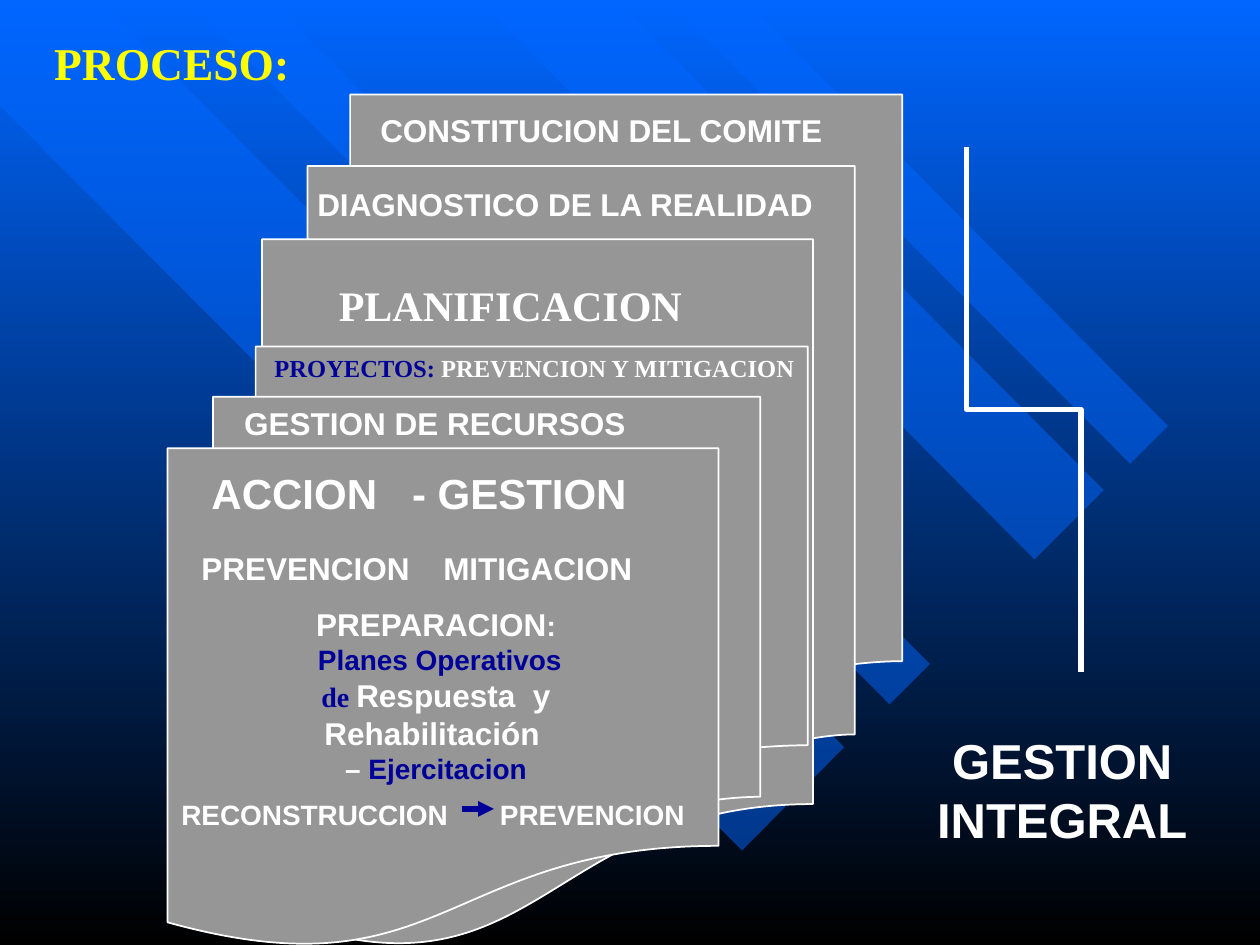
"""Build the PROCESO slide: stacked documents leading to GESTION INTEGRAL."""
from lxml import etree
from pptx import Presentation
from pptx import util as u
from pptx.dml.color import RGBColor
from pptx.enum import shapes, text
from pptx.oxml import ns

BLUE = RGBColor(0x00, 0x66, 0xFF)
BLACK = RGBColor(0x00, 0x00, 0x00)
GRAY = RGBColor(0x96, 0x96, 0x96)
WHITE = RGBColor(0xFF, 0xFF, 0xFF)
NAVY = RGBColor(0x00, 0x00, 0x99)
YELLOW = RGBColor(0xFF, 0xFF, 0x00)
SANS, SERIF = "Arial", "Times New Roman"
LEFT, CENTER = text.PP_ALIGN.LEFT, text.PP_ALIGN.CENTER

RIBBONS = [
    [(6.7, 5.93), (0.79, 0), (0, 0), (0, 0.84), (5.89, 6.75)],
    [(2.14, 0), (7.38, 5.27), (7.06, 5.59), (1.49, 0)],
    [(4.89, 0), (8.76, 3.89), (8.21, 4.44), (3.8, 0)],
    [(5.3, 0), (8.97, 3.68), (9.27, 3.38), (5.91, 0)],
]
STACKS = [(2.08, 0.75, 5.08, 6.75), (1.33, 2.75, 5.08, 4.75)]
WRAPPED_LABELS = [
    ("CONSTITUCION DEL COMITE", 18, (2.92, 0.83, 3.84, 0.4)),
    ("DIAGNOSTICO DE LA REALIDAD", 18, (2.42, 1.42, 5.14, 0.4)),
]
LABELS = [
    ("GESTION DE RECURSOS", 18, (1.84, 3.16, 3.23, 0.4)),
    ("ACCION   - GESTION", 24, (1.58, 3.66, 3.49, 0.5)),
    ("PREVENCION", 18, (1.5, 4.31, 1.85, 0.4)),
    ("MITIGACION", 18, (3.42, 4.31, 1.7, 0.4)),
    ("RECONSTRUCCION", 16, (1.34, 6.28, 2.32, 0.37)),
    ("PREVENCION", 16, (3.87, 6.28, 1.67, 0.37)),
]
PREPARATION = [
    [("PREPARACION", 18, WHITE, SANS), (":", 16, WHITE, SANS)],
    [(" ", 16, WHITE, SANS), ("Planes Operativos", 16, NAVY, SANS)],
    [("de ", 16, NAVY, SERIF), ("Respuesta  y Rehabilitación", 18, WHITE, SANS),
     (" ", 16, WHITE, SANS)],
    [("– ", 16, WHITE, SANS), ("Ejercitacion", 16, NAVY, SANS)],
]


class SlideBuilder:
    """Hold the shared style and the slide being drawn."""

    def __init__(self, slide):
        self.slide = slide
        self.outline = u.Pt(1)
        self.stroke = u.Pt(3)

    def background(self):
        fill = self.slide.background.fill
        fill.gradient()
        fill.gradient_angle = 270
        for stop, color, position in zip(fill.gradient_stops, (BLUE, BLACK), (0, 1)):
            stop.color.rgb = color
            stop.position = position

    def ribbon(self, points):
        corners = [(u.Inches(x), u.Inches(y)) for x, y in points]
        builder = self.slide.shapes.build_freeform(*corners[0])
        builder.add_line_segments(corners[1:], close=True)
        shape = builder.convert_to_shape()
        shape.shadow.inherit = False
        shape.fill.solid()
        shape.fill.fore_color.rgb = BLUE
        shape.line.fill.background()
        color = shape.element.spPr.find(".//" + ns.qn("a:srgbClr"))
        etree.SubElement(color, ns.qn("a:alpha"), val="50000")

    def documents(self, box):
        shape = self.slide.shapes.add_shape(
            shapes.MSO_SHAPE.FLOWCHART_MULTIDOCUMENT, *map(u.Inches, box))
        shape.shadow.inherit = False
        shape.fill.solid()
        shape.fill.fore_color.rgb = GRAY
        shape.line.color.rgb = WHITE
        shape.line.width = self.outline

    def add_text(self, frame, paragraphs, align, wrap):
        frame.word_wrap = wrap
        frame.auto_size = text.MSO_AUTO_SIZE.NONE
        frame.vertical_anchor = text.MSO_ANCHOR.TOP
        for index, runs in enumerate(paragraphs):
            paragraph = frame.add_paragraph() if index else frame.paragraphs[0]
            paragraph.alignment = align
            for words, size, color, font in runs:
                run = paragraph.add_run()
                run.text = words
                run.font.size = u.Pt(size)
                run.font.bold = True
                run.font.name = font
                run.font.color.rgb = color

    def title(self, run, box):
        shape = self.slide.shapes.title
        shape.left, shape.top, shape.width, shape.height = map(u.Inches, box)
        self.add_text(shape.text_frame, [[run]], LEFT, False)
        shape.element.getparent().append(shape.element)

    def label(self, paragraphs, box, align=LEFT, wrap=False):
        shape = self.slide.shapes.add_textbox(*map(u.Inches, box))
        self.add_text(shape.text_frame, paragraphs, align, wrap)

    def connector(self, kind, start, end, color):
        line = self.slide.shapes.add_connector(kind, *map(u.Inches, start + end))
        line.line.color.rgb = color
        line.line.width = self.stroke
        etree.SubElement(line.element.spPr, ns.qn("a:effectLst"))
        return line

    def arrow(self, start, end):
        line = self.connector(shapes.MSO_CONNECTOR.STRAIGHT, start, end, NAVY)
        outline = line.element.spPr.find(ns.qn("a:ln"))
        etree.SubElement(outline, ns.qn("a:tailEnd"), type="triangle")

    def vertical_elbow(self, start, end):
        middle_x, middle_y = (start[0] + end[0]) / 2, (start[1] + end[1]) / 2
        half_width, half_height = (end[1] - start[1]) / 2, (end[0] - start[0]) / 2
        line = self.connector(
            shapes.MSO_CONNECTOR.ELBOW,
            (middle_x + half_width, middle_y - half_height),
            (middle_x - half_width, middle_y + half_height), WHITE)
        line.element.spPr.find(ns.qn("a:xfrm")).set("rot", str(270 * 60000))


def main():
    presentation = Presentation()
    presentation.slide_width, presentation.slide_height = u.Inches(10), u.Inches(7.5)
    slide = presentation.slides.add_slide(presentation.slide_layouts[5])
    builder = SlideBuilder(slide)
    builder.background()
    for points in RIBBONS:
        builder.ribbon(points)
    for box in STACKS:
        builder.documents(box)
    builder.title(("PROCESO:", 26, YELLOW, SERIF), (0.33, 0.23, 2.07, 0.54))
    builder.label([[("PLANIFICACION", 24, WHITE, SERIF)]], (2.59, 2.17, 2.92, 0.5), CENTER)
    builder.label([[("PROYECTOS:", 14, NAVY, SERIF),
                    (" PREVENCION Y MITIGACION", 14, WHITE, SERIF)]],
                  (2.08, 2.75, 5.19, 0.34), wrap=True)
    builder.vertical_elbow((7.67, 1.17), (8.58, 5.33))
    builder.label([[(word, 28, WHITE, SANS)] for word in ("GESTION", "INTEGRAL")],
                  (7.17, 5.75, 2.52, 1.04), CENTER, wrap=True)
    for labels, wrap in ((WRAPPED_LABELS, True), (LABELS, False)):
        for words, size, box in labels:
            builder.label([[(words, size, WHITE, SANS)]], box, wrap=wrap)
    builder.label(PREPARATION, (1.67, 4.75, 3.58, 2.07), CENTER, wrap=True)
    builder.arrow((3.67, 6.42), (3.92, 6.42))
    presentation.save("out.pptx")


if __name__ == "__main__":
    main()
